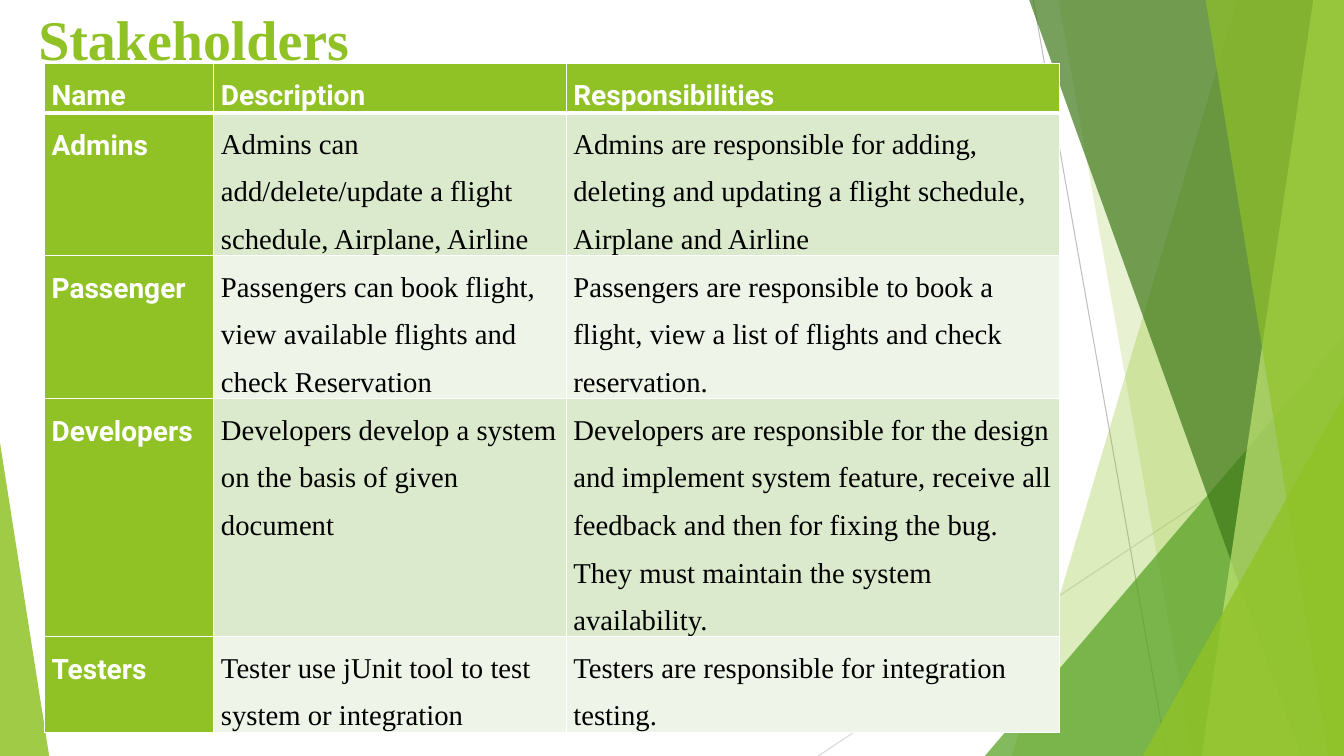
import pptx
import pptx.util
import pptx.dml.color
import pptx.enum.shapes
import pptx.enum.text
import pptx.oxml
import pptx.oxml.ns
import lxml.etree

Cm = pptx.util.Cm
Pt = pptx.util.Pt
RGBColor = pptx.dml.color.RGBColor
qn = pptx.oxml.ns.qn

WHITE = RGBColor(0xFF, 0xFF, 0xFF)
BLACK = RGBColor(0x00, 0x00, 0x00)
LIME = RGBColor(0x90, 0xC2, 0x26)
GREEN = RGBColor(0x54, 0xA0, 0x21)
DARK_GREEN = RGBColor(0x3F, 0x78, 0x19)
PALE_LIME = RGBColor(0xC0, 0xE4, 0x74)
BAND_DARK = RGBColor(0xDB, 0xE9, 0xCD)
BAND_LIGHT = RGBColor(0xEE, 0xF4, 0xE8)
GREY = RGBColor(0xBF, 0xBF, 0xBF)
LIGHT_GREY = RGBColor(0xD9, 0xD9, 0xD9)

WIDTH, HEIGHT = 33.87, 19.05


def format_run(run, font_name, size, color, bold):
    run.font.name = font_name
    run.font.size = Pt(size)
    run.font.color.rgb = color
    run.font.bold = bold


def add_border(cell, side, width):
    line = lxml.etree.SubElement(cell._tc.get_or_add_tcPr(), qn(f"a:ln{side}"), w=str(Pt(width)))
    fill = lxml.etree.SubElement(line, qn("a:solidFill"))
    lxml.etree.SubElement(fill, qn("a:srgbClr"), val=str(WHITE))


presentation = pptx.Presentation()
presentation.slide_width = Cm(WIDTH)
presentation.slide_height = Cm(HEIGHT)
slide = presentation.slides.add_slide(presentation.slide_layouts[5])

rays = [
    (26.04, 0, 29.41, HEIGHT, GREY),
    (WIDTH, 10.24, 20.62, HEIGHT, LIGHT_GREY),
]
for start_x, start_y, end_x, end_y, color in rays:
    ray = slide.shapes.add_connector(
        pptx.enum.shapes.MSO_CONNECTOR.STRAIGHT, Cm(start_x), Cm(start_y), Cm(end_x), Cm(end_y))
    ray.line.color.rgb = color
    ray.line.width = Pt(0.75)
    lxml.etree.SubElement(ray._element.spPr, qn("a:effectLst"))

facets = [
    ("band", (31.19, 25.5), LIME, 30),
    ("band", (26.67, 30.05), LIME, 20),
    ("triangle", (24.82, 8.46, 9.05, 1), GREEN, 72),
    ("band", (25.93, 32.79), DARK_GREEN, 70),
    ("band", (33.1, 30.28), PALE_LIME, 70),
    ("band", (30.38, 33.48), LIME, 65),
    ("triangle", (28.8, 9.98, 5.07, 1), LIME, 80),
    ("triangle", (0, 11.15, 1.24, 0), LIME, 85),
]
for kind, geometry, color, opacity in facets:
    if kind == "band":
        top_x, bottom_x = geometry
        builder = slide.shapes.build_freeform(Cm(top_x), Cm(-0.02))
        corners = [(WIDTH, -0.02), (WIDTH, HEIGHT), (bottom_x, HEIGHT)]
        builder.add_line_segments([(Cm(x), Cm(y)) for x, y in corners], close=True)
        shape = builder.convert_to_shape()
    else:
        left, top, width, apex = geometry
        shape = slide.shapes.add_shape(
            pptx.enum.shapes.MSO_SHAPE.ISOSCELES_TRIANGLE,
            Cm(left), Cm(top), Cm(width), Cm(HEIGHT - top))
        shape.adjustments[0] = apex
    shape.shadow.inherit = False
    shape.line.fill.background()
    shape.fill.solid()
    shape.fill.fore_color.rgb = color
    color_element = shape._element.spPr.find(qn("a:solidFill"))[0]
    lxml.etree.SubElement(color_element, qn("a:alpha"), val=str(opacity * 1000))

title = slide.shapes.title
slide.shapes._spTree.append(title._element)
title.left, title.top, title.width, title.height = Cm(0.71), Cm(0), Cm(27.51), Cm(1.42)
title_frame = title.text_frame
title_frame.text = "Stakeholders"
title_frame.auto_size = pptx.enum.text.MSO_AUTO_SIZE.NONE
title_frame.vertical_anchor = pptx.enum.text.MSO_ANCHOR.TOP
title_frame.margin_top, title_frame.margin_bottom = Cm(0.12), Cm(0)
title_frame.paragraphs[0].alignment = pptx.enum.text.PP_ALIGN.LEFT
format_run(title_frame.paragraphs[0].runs[0], "Times New Roman", 40, LIME, True)

stakeholders = [
    ("Name", "Description", "Responsibilities"),
    ("Admins",
     "Admins can add/delete/update a flight schedule, Airplane, Airline",
     "Admins are responsible for adding, deleting and updating a flight schedule, "
     "Airplane and Airline"),
    ("Passenger",
     "Passengers can book flight, view available flights and check Reservation",
     "Passengers are responsible to book a flight, view a list of flights and check reservation."),
    ("Developers",
     "Developers develop a system on the basis of given document",
     "Developers are responsible for the design and implement system feature, receive all "
     "feedback and then for fixing the bug. They must maintain the system availability."),
    ("Testers",
     "Tester use jUnit tool to test system or integration",
     "Testers are responsible for integration testing."),
]
column_widths = [4.27, 8.88, 12.43]
row_heights = [1.23, 3.58, 3.6, 6, 2.4]

table = slide.shapes.add_table(
    len(row_heights), len(column_widths), Cm(1.12), Cm(1.6),
    Cm(sum(column_widths)), Cm(sum(row_heights))).table
for column, width in zip(table.columns, column_widths):
    column.width = Cm(width)
for row, height in zip(table.rows, row_heights):
    row.height = Cm(height)

for row_index, texts in enumerate(stakeholders):
    for column_index, text in enumerate(texts):
        cell = table.cell(row_index, column_index)
        cell.margin_left = cell.margin_right = Cm(0.18)
        cell.margin_top = cell.margin_bottom = Cm(0)
        cell.text_frame.text = text
        paragraph = cell.text_frame.paragraphs[0]
        paragraph.line_spacing = 1.5
        add_border(cell, "L", 1)
        add_border(cell, "R", 1)
        add_border(cell, "T", 3 if row_index == 1 else 1)
        add_border(cell, "B", 3 if row_index == 0 else 1)
        cell.fill.solid()
        if row_index == 0 or column_index == 0:
            cell.fill.fore_color.rgb = LIME
            format_run(paragraph.runs[0], "Roboto", 20, WHITE, True)
        else:
            cell.fill.fore_color.rgb = BAND_DARK if row_index % 2 else BAND_LIGHT
            format_run(paragraph.runs[0], "Times New Roman", 20.5, BLACK, False)

presentation.save("out.pptx")
